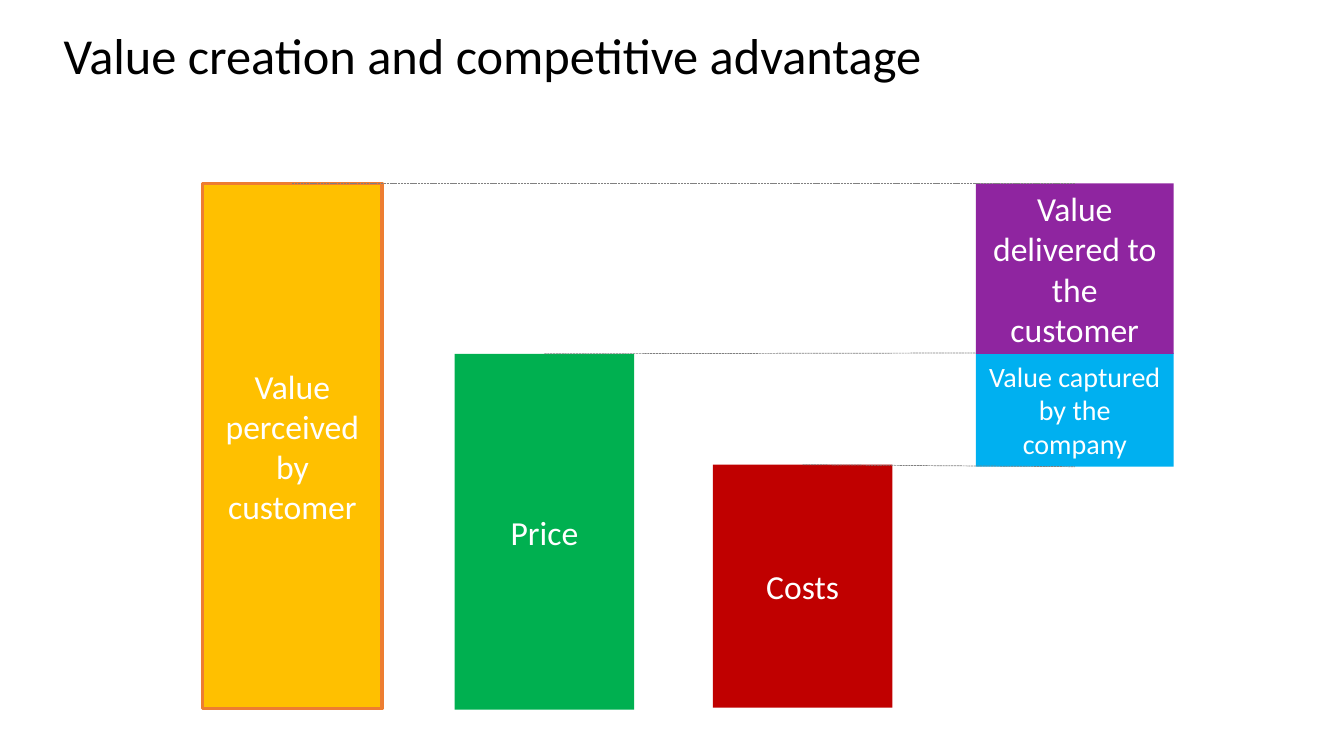
from lxml import etree
from pptx import Presentation
from pptx.dml.color import RGBColor
from pptx.enum.dml import MSO_LINE
from pptx.enum.shapes import MSO_CONNECTOR, MSO_SHAPE
from pptx.enum.text import MSO_ANCHOR, PP_ALIGN
from pptx.oxml.ns import qn
from pptx.util import Inches, Pt

RECT = MSO_SHAPE.RECTANGLE
STRAIGHT = MSO_CONNECTOR.STRAIGHT
DASH = MSO_LINE.SQUARE_DOT
MIDDLE = MSO_ANCHOR.MIDDLE
LEFT, CENTER = PP_ALIGN.LEFT, PP_ALIGN.CENTER
TOP, BOTTOM = 0, 2

AMBER = RGBColor(0xFF, 0xC0, 0x00)
ORANGE = RGBColor(0xED, 0x7D, 0x31)
GREEN = RGBColor(0x00, 0xB0, 0x50)
RED = RGBColor(0xC0, 0x00, 0x00)
BLUE = RGBColor(0x00, 0xB0, 0xF0)
PURPLE = RGBColor(0x8F, 0x25, 0xA0)
GREY = RGBColor(0x80, 0x80, 0x80)
WHITE = RGBColor(0xFF, 0xFF, 0xFF)
BLACK = RGBColor(0x00, 0x00, 0x00)

FONT = "Calibri"
TITLE = "Value creation and competitive advantage"
WIDE, SLIM = 1.96, 1.78

# name, text, (left, top, width, height), fill, outline, text size
BARS = [
    ("value", "Value perceived by customer", (2.01, 1.82, SLIM, 5.21), AMBER, ORANGE, 24),
    ("price", "Price", (4.51, 3.51, SLIM, 3.53), GREEN, None, 24),
    ("costs", "Costs", (7.07, 4.61, SLIM, 2.41), RED, None, 24),
    ("captured", "Value captured by the company", (9.68, 3.5, WIDE, 1.13), BLUE, None, 20),
    ("delivered", "Value delivered to the customer", (9.68, 1.82, WIDE, 1.69), PURPLE, None, 24),
]

# bar reached: (bar whose top is the start, side reached)
LINKS = {
    "captured": [("costs", BOTTOM), ("price", TOP)],
    "delivered": [("value", TOP)],
}


def style(par, size, color, align):
    par.alignment = align
    par.font.name = FONT
    par.font.size = Pt(size)
    par.font.color.rgb = color


def add_title(slide):
    title = slide.shapes.title
    title.left, title.top = Inches(0.53), Inches(0.18)
    title.width, title.height = Inches(8.79), Inches(0.71)
    frame = title.text_frame
    frame.text = TITLE
    frame.word_wrap = False
    frame.vertical_anchor = MIDDLE
    style(frame.paragraphs[0], 36, BLACK, LEFT)


def add_bar(slide, text, box, fill, edge, size):
    bar = slide.shapes.add_shape(RECT, *map(Inches, box))
    bar.shadow.inherit = False
    bar.fill.solid()
    bar.fill.fore_color.rgb = fill
    if edge:
        bar.line.color.rgb = edge
        bar.line.width = Pt(2.25)
    else:
        bar.line.fill.background()
    frame = bar.text_frame
    frame.text = text
    frame.word_wrap = True
    frame.vertical_anchor = MIDDLE
    style(frame.paragraphs[0], size, WHITE, CENTER)
    return bar


def add_link(slide, start, end, side):
    """Draw a dashed line from the top of one bar to a side of another."""
    link = slide.shapes.add_connector(STRAIGHT, 0, 0, 0, 0)
    link.begin_connect(start, TOP)
    link.end_connect(end, side)
    link.line.color.rgb = GREY
    link.line.width = Pt(0.5)
    link.line.dash_style = DASH
    etree.SubElement(link._element.spPr, qn("a:effectLst"))


def main():
    deck = Presentation()
    deck.slide_width, deck.slide_height = Inches(13.33), Inches(7.5)
    slide = deck.slides.add_slide(deck.slide_layouts[5])
    add_title(slide)
    bars = {}
    for name, *look in BARS:
        bars[name] = add_bar(slide, *look)
        for start, side in LINKS.get(name, []):
            add_link(slide, bars[start], bars[name], side)
    deck.save("out.pptx")


if __name__ == "__main__":
    main()
